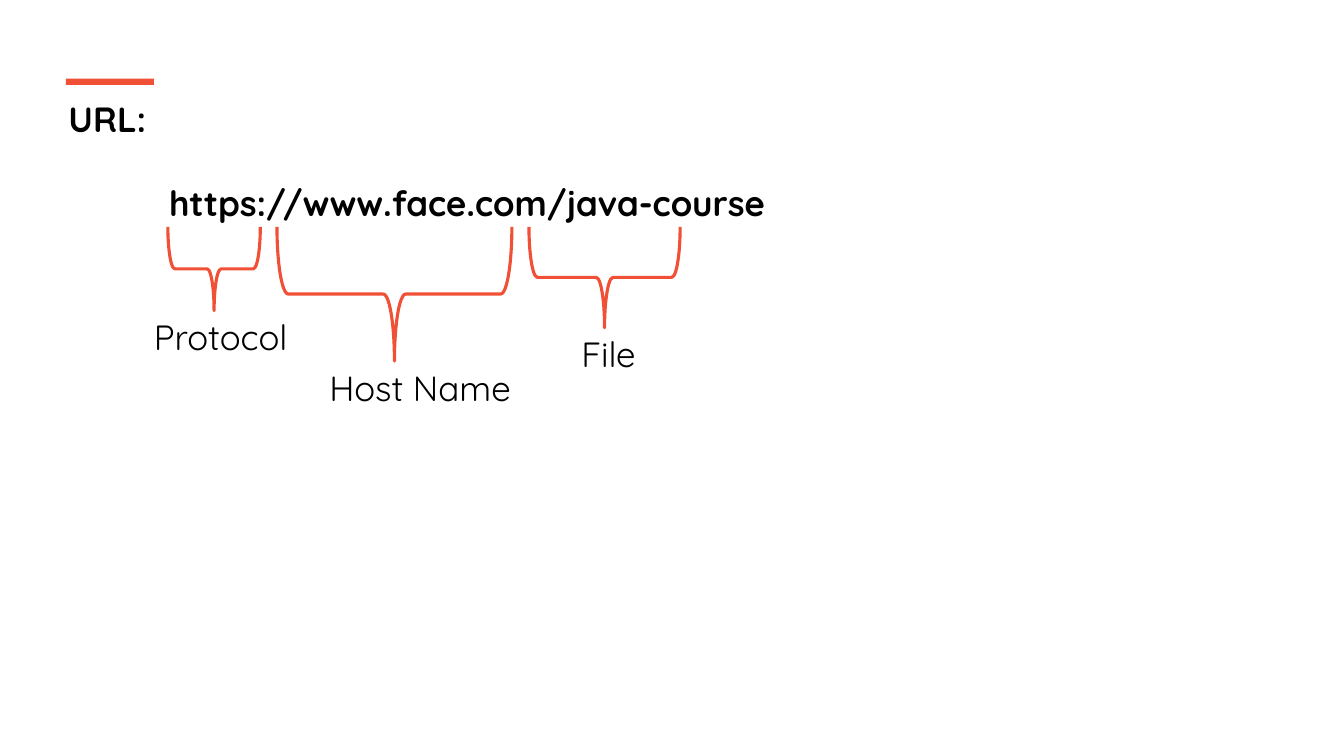
import pptx
import pptx.util
import pptx.dml.color
import pptx.enum.shapes
import pptx.enum.text
from dataclasses import dataclass

Cm = pptx.util.Cm
Pt = pptx.util.Pt
Kind = pptx.enum.shapes.MSO_SHAPE


@dataclass(frozen=True)
class Theme:
    font: str = "Quicksand"
    size: int = 25
    line: float = 2.25
    ink = pptx.dml.color.RGBColor.from_string("000000")
    accent = pptx.dml.color.RGBColor.from_string("F05136")


theme = Theme()
ROW = 1.32   # height of one line of text, cm
TOP = 5.72   # upper edge of all braces, cm

# Name, brace left, brace width, brace depth, label left, label width (cm)
PARTS = [
    ("Protocol", 4.23, 2.33, 2.11, 3.63, 4),
    ("Host Name", 6.98, 5.92, 3.38, 8.05, 5.08),
    ("File", 13.33, 3.81, 2.54, 14.4, 4.24),
]


def write(box, text, bold=False):
    frame = box.text_frame
    frame.word_wrap = True
    frame.auto_size = pptx.enum.text.MSO_AUTO_SIZE.NONE
    frame.vertical_anchor = pptx.enum.text.MSO_ANCHOR.TOP
    para = frame.paragraphs[0]
    para.alignment = pptx.enum.text.PP_ALIGN.LEFT
    run = para.add_run()
    run.text = text
    run.font.name = theme.font
    run.font.size = Pt(theme.size)
    run.font.bold = bold
    run.font.color.rgb = theme.ink


def add_head(slide, text):
    box = slide.shapes.title
    box.left, box.top, box.width, box.height = Cm(1.47), Cm(2.34), Cm(30.7), Cm(ROW)
    write(box, text, bold=True)


def add_text(slide, text, left, top, width, bold=False):
    box = slide.shapes.add_textbox(Cm(left), Cm(top), Cm(width), Cm(ROW))
    write(box, text, bold)


def add_bar(slide, left, top, width, height):
    bar = slide.shapes.add_shape(Kind.RECTANGLE, Cm(left), Cm(top), Cm(width), Cm(height))
    bar.shadow.inherit = False
    bar.fill.solid()
    bar.fill.fore_color.rgb = theme.accent
    bar.line.fill.background()


def add_brace(slide, left, width, depth):
    # A quarter turn swaps the sides around the same centre
    shift = (width - depth) / 2
    brace = slide.shapes.add_shape(
        Kind.RIGHT_BRACE, Cm(left + shift), Cm(TOP - shift), Cm(depth), Cm(width))
    brace.rotation = 90
    brace.shadow.inherit = False
    brace.fill.background()
    brace.line.color.rgb = theme.accent
    brace.line.width = Pt(theme.line)


def main():
    deck = pptx.Presentation()
    deck.slide_width, deck.slide_height = Cm(33.87), Cm(19.05)
    slide = deck.slides.add_slide(deck.slide_layouts[5])

    # Heading and address
    add_head(slide, "URL:")
    add_bar(slide, 1.66, 1.98, 2.22, 0.16)
    add_text(slide, "https://www.face.com/java-course", 4.01, 4.46, 28, bold=True)

    # Parts of the address, each label right below its brace
    for name, left, width, depth, start, room in PARTS:
        add_brace(slide, left, width, depth)
        add_text(slide, name, start, TOP + depth, room)

    deck.save("out.pptx")


if __name__ == "__main__":
    main()
